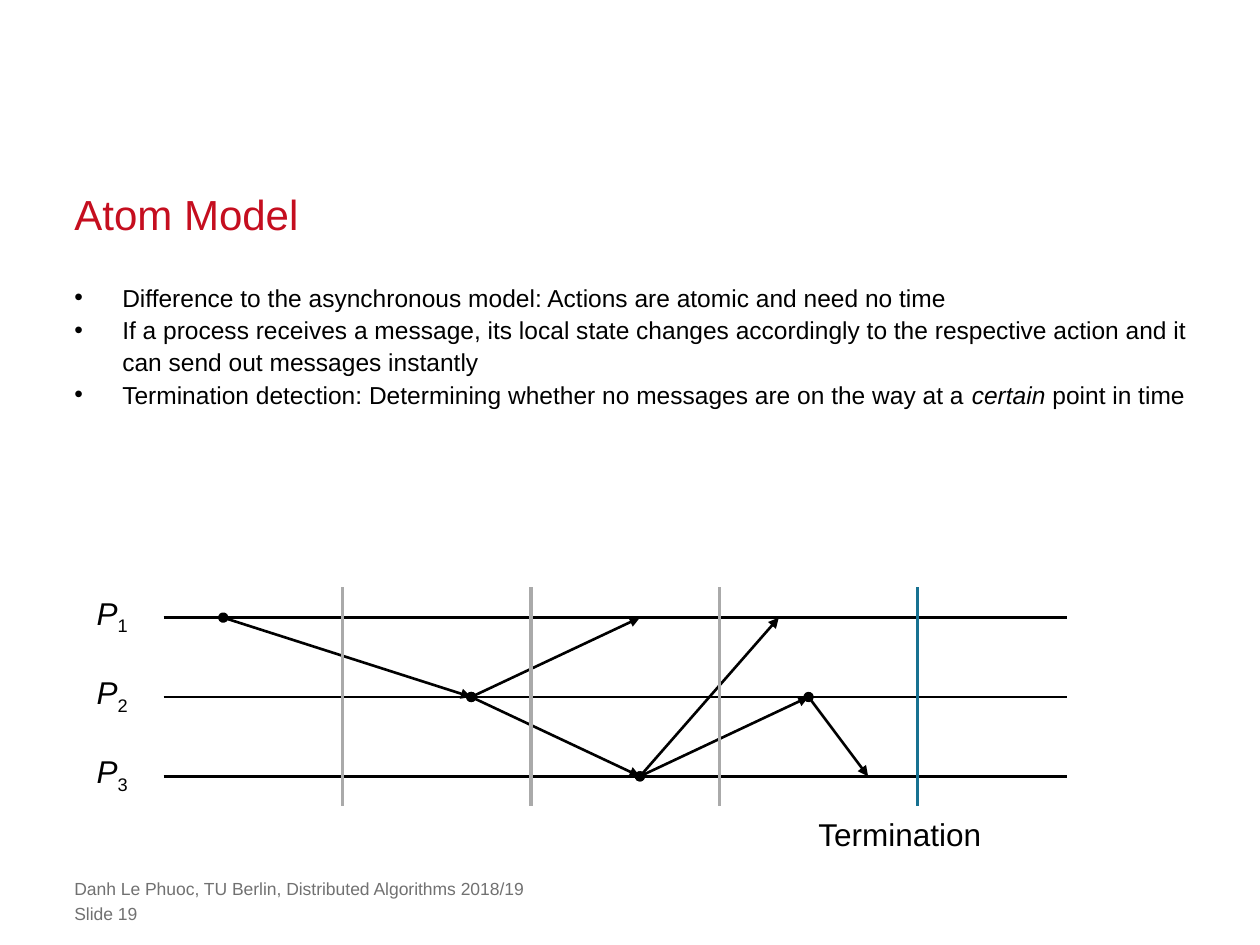
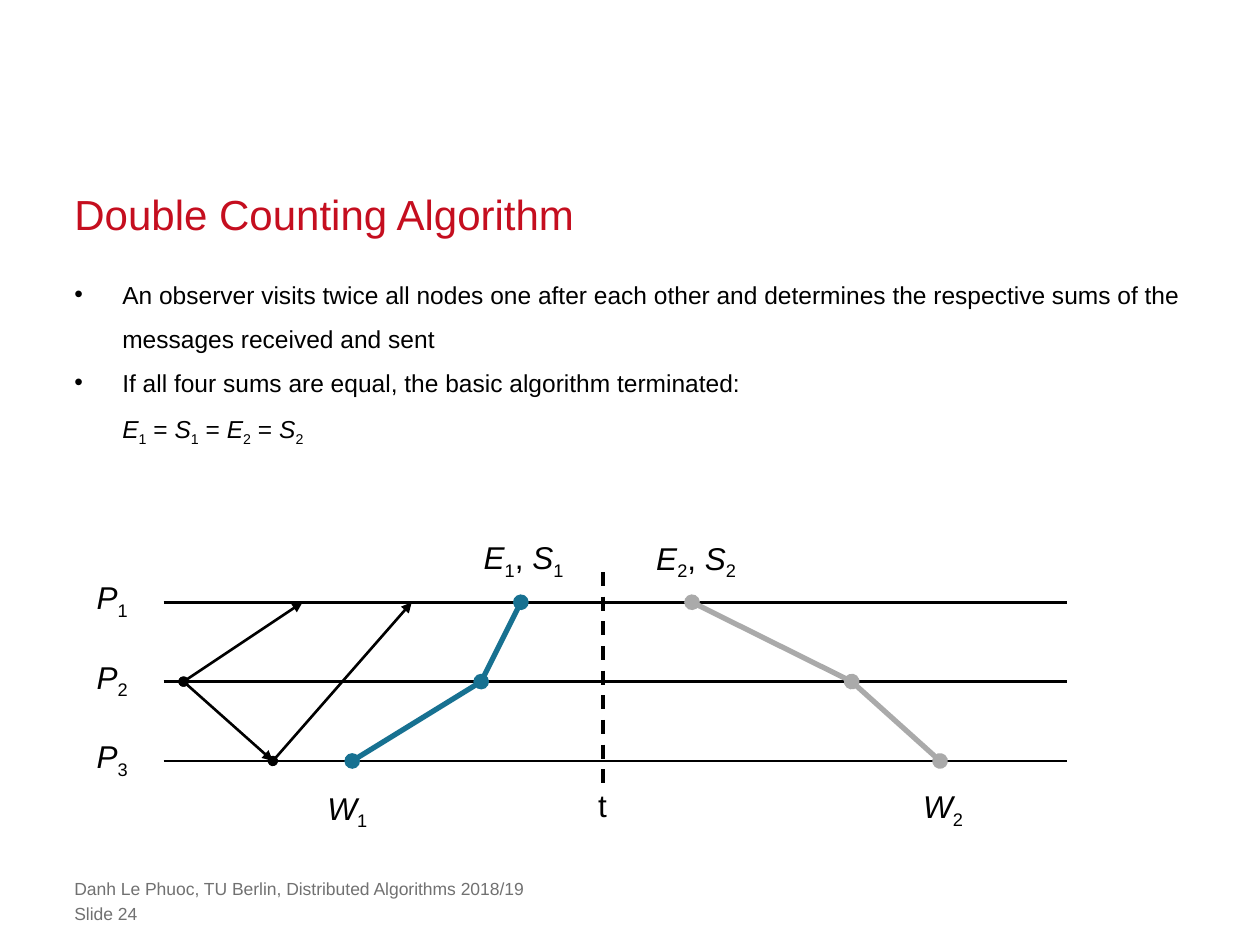
from pptx import Presentation
from pptx import util as u
from pptx.dml.color import RGBColor
from pptx.enum import dml, shapes, text
from pptx.oxml.ns import qn
from lxml import etree

COLORS = {"title": "C50E1F", "ink": "000000", "footer": "717171",
          "grey": "AAAAAA", "teal": "177191"}
FONT = "Arial"

deck = Presentation()
deck.slide_width, deck.slide_height = u.Inches(10), u.Inches(7.5)

# Grid: 254 columns across the slide, square cells, process rows 16 cells apart
CELL = deck.slide_width / 254
ROW = 16
MARGIN = 15
AXIS_START, AXIS_END = 33, 215
CUT_TOP, CUT_BOTTOM = -0.38, 2.38


def write(shape, paragraphs, box, size=18, color="ink", spacing=None,
          bullet=False, inset=True, wrap=True, anchor=text.MSO_ANCHOR.TOP):
    """Fill a shape; "|" splits runs, "*" starts an italic and "_" a subscript."""
    shape.left, shape.top, shape.width, shape.height = (round(v * CELL) for v in box)
    frame = shape.text_frame
    frame.word_wrap, frame.auto_size = wrap, text.MSO_AUTO_SIZE.NONE
    frame.vertical_anchor = anchor
    if not inset:
        frame.margin_left = frame.margin_top = frame.margin_right = frame.margin_bottom = 0
    for number, line in enumerate(paragraphs):
        para = frame.add_paragraph() if number else frame.paragraphs[0]
        if bullet:
            props = para._p.get_or_add_pPr()
            props.set("marL", str(u.Inches(0.38)))
            props.set("indent", str(-u.Inches(0.38)))
            etree.SubElement(props, qn("a:buChar")).set("char", "•")
        para.alignment = text.PP_ALIGN.LEFT
        para.space_before = u.Pt(0)
        if spacing:
            para.line_spacing = spacing
        for part in line.split("|"):
            if part == "\n":
                para.add_line_break()
                continue
            run = para.add_run()
            run.text = part.lstrip("*_")
            run.font.name, run.font.size = FONT, u.Pt(size)
            run.font.color.rgb = RGBColor.from_string(COLORS[color])
            run.font.italic = part.startswith("*")
            if part.startswith("_"):
                run._r.get_or_add_rPr().set("baseline", "-25000")


def draw_line(slide, top, start, end, color="ink", width=1.5, head=None, tail=None, dash=None):
    """Join two (column, process row) points of a diagram that begins at top."""
    ends = [round(v * CELL) for x, row in (start, end) for v in (x, top + row * ROW)]
    line = slide.shapes.add_connector(shapes.MSO_CONNECTOR.STRAIGHT, *ends)
    line.line.color.rgb = RGBColor.from_string(COLORS[color])
    line.line.width = u.Pt(width)
    if dash:
        line.line.dash_style = dash
    for tag, kind in (("a:headEnd", head), ("a:tailEnd", tail)):
        if kind:
            etree.SubElement(line.line._get_or_add_ln(), qn(tag)).set("type", kind)
    etree.SubElement(line._element.spPr, qn("a:effectLst"))


# Content: points are (column, process row), labels are (text, column, row)
topics = [
    {
        "title": "Atom Model",
        "number": 19,
        "points": [
            "Difference to the asynchronous model: Actions are atomic and need no time",
            "If a process receives a message, its local state changes accordingly to the "
            "respective action and it can send out messages instantly",
            "Termination detection: Determining whether no messages are on the way at a "
            "|*certain| point in time",
        ],
        "body": (MARGIN, 56.4, 230, 64.8),
        "spacing": 1.1,
        "top": 124.5,
        "messages": [((45, 0), (95, 1)), ((95, 1), (129, 2)), ((129, 2), (157, 0)),
                     ((129, 2), (163, 1)), ((95, 1), (129, 0)), ((163, 1), (175, 2))],
        "cuts": [(69, "grey", None), (107, "grey", None), (145, "grey", None),
                 (185, "teal", None)],
        "waves": [],
        "labels": [("Termination", 162.5, 2.41)],
    },
    {
        "title": "Double Counting Algorithm",
        "number": 24,
        "points": [
            "An observer visits twice all nodes one after each other and determines the "
            "respective sums of the messages received and sent",
            "If all four sums are equal, the basic algorithm terminated:|\n|"
            "*E|_1| = |*S|_1| = |*E|_2| = |*S|_2",
        ],
        "body": (MARGIN, 53.4, 224, 45.5),
        "spacing": 1.5,
        "top": 121.4,
        "messages": [((37, 1), (61, 0)), ((37, 1), (55, 2)), ((55, 2), (83, 0))],
        "cuts": [(121.6, "ink", dml.MSO_LINE.DASH)],
        "waves": [("teal", [(71, 2), (97, 1), (105, 0)]),
                  ("grey", [(189.5, 2), (171.7, 1), (139.5, 0)])],
        "labels": [("*W|_1", 63.5, 2.27), ("*W|_2", 183.6, 2.25), ("t", 118.1, 2.24),
                   ("*E|_1|, |*S|_1", 95, -0.89), ("*E|_2|, |*S|_2", 129.8, -0.88)],
    },
]

for topic in topics:
    slide = deck.slides.add_slide(deck.slide_layouts[1])
    top = topic["top"]

    # Title and list
    write(slide.shapes.title, [topic["title"]], (MARGIN, 37.6, 224, 10.6), size=24,
          color="title", spacing=u.Pt(30), inset=False, anchor=text.MSO_ANCHOR.BOTTOM)
    write(slide.placeholders[1], topic["points"], topic["body"], size=14,
          spacing=topic["spacing"], bullet=True, inset=False)

    # Footer
    footer = ["Danh Le Phuoc, TU Berlin, Distributed Algorithms 2018/19",
              f"Slide {topic['number']}"]
    for index, line in enumerate(footer):
        write(slide.shapes.add_textbox(0, 0, 0, 0), [line],
              (MARGIN, 177 + 5.1 * index, 184, 4.3), size=10, color="footer", inset=False)

    # Process time lines
    for row in range(3):
        draw_line(slide, top, (AXIS_START, row), (AXIS_END, row))

    # Messages, observer waves and cuts in time
    for sent, received in topic["messages"]:
        draw_line(slide, top, sent, received, head="oval", tail="triangle")
    for color, (first, second, third) in topic["waves"]:
        draw_line(slide, top, first, second, color, 3, head="oval", tail="oval")
        draw_line(slide, top, third, second, color, 3, head="oval")
    for column, color, dash in topic["cuts"]:
        draw_line(slide, top, (column, CUT_TOP), (column, CUT_BOTTOM), color, 2, dash=dash)

    # Labels
    processes = [(f"*P|_{row + 1}", 17, row - 0.38) for row in range(3)]
    for label, column, row in processes + topic["labels"]:
        width = {"t": 6.9, "Termination": 38.4}.get(label, 21.8 if "," in label else 12.5)
        write(slide.shapes.add_textbox(0, 0, 0, 0), [label],
              (column, top + row * ROW, width, 10.2), wrap=False)

deck.save("out.pptx")
